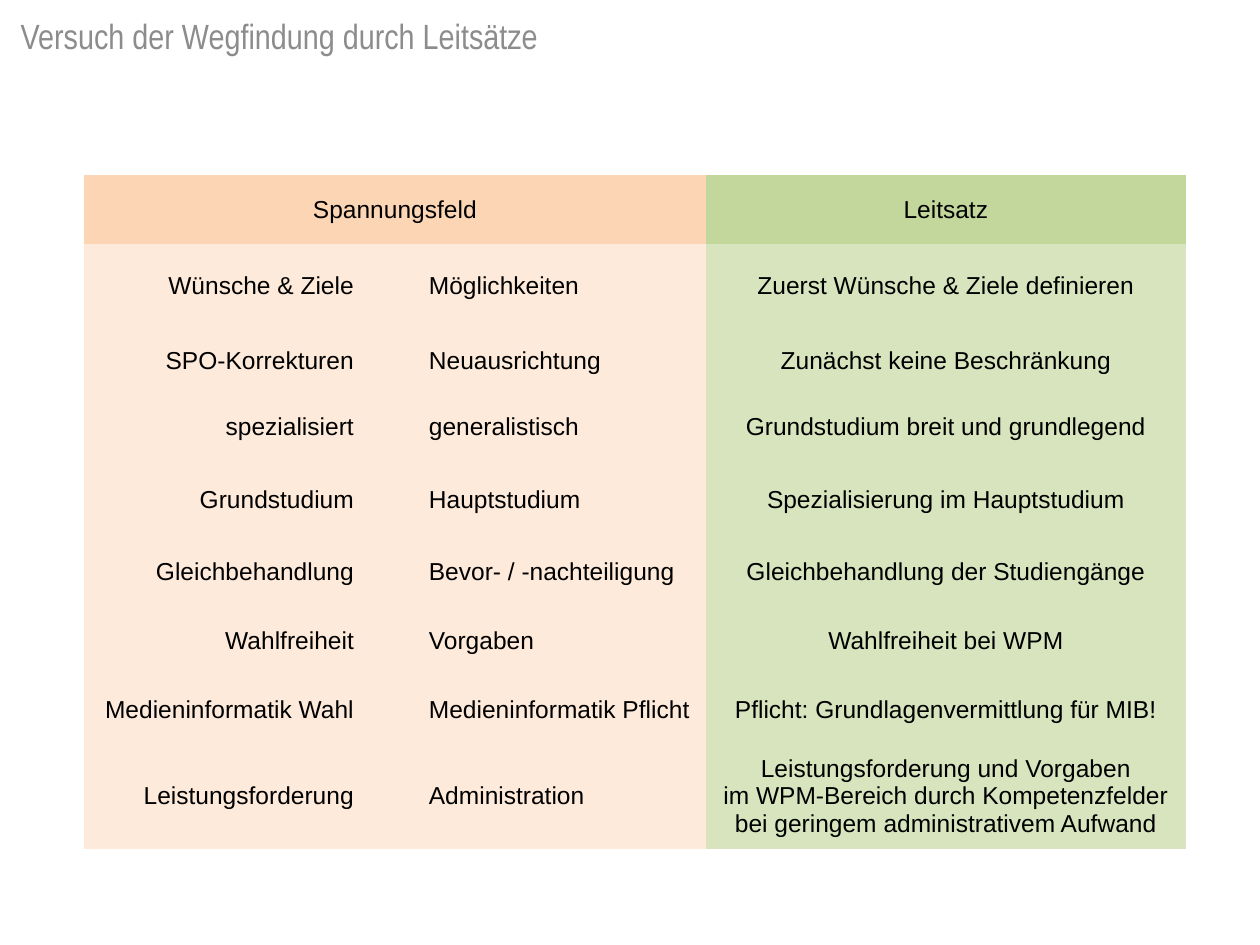
import dataclasses

import pptx
import pptx.dml.color
import pptx.enum.text
import pptx.oxml.ns
import pptx.util


@dataclasses.dataclass(frozen=True)
class Theme:
    head: str = "Arial Narrow"
    body: str = "Arial"
    head_size: int = 20
    body_size: int = 14
    grey: str = "8C8C8C"
    black: str = "000000"
    peach: str = "FCD5B5"
    cream: str = "FDEADA"
    green: str = "C3D69B"
    mint: str = "D7E4BD"


theme = Theme()
rgb = pptx.dml.color.RGBColor.from_string
align = pptx.enum.text.PP_ALIGN
middle = pptx.enum.text.MSO_ANCHOR.MIDDLE
NO_GRID = "{2D5ABB26-0587-4C30-8999-92F81FD0307C}"


def px(count):
    return pptx.util.Emu(round(count * 914400 / 126))


def write(para, text, font, size, color, side):
    """Add text run by run, with a line break at each newline."""
    para.alignment = side
    for num, line in enumerate(text.split("\n")):
        if num:
            para.add_line_break()
        run = para.add_run()
        run.text = line
        run.font.name = font
        run.font.size = pptx.util.Pt(size)
        run.font.color.rgb = rgb(color)


deck = pptx.Presentation()
deck.slide_width, deck.slide_height = px(1260), px(945)
slide = deck.slides.add_slide(deck.slide_layouts[5])

# Title
title = slide.shapes.title
title.left, title.top, title.width, title.height = px(8), px(5), px(1237), px(60)
frame = title.text_frame
frame.word_wrap = True
frame.vertical_anchor = middle
write(frame.paragraphs[0], "Versuch der Wegfindung durch Leitsätze",
      theme.head, theme.head_size, theme.grey, align.LEFT)

# Table: two poles of tension, a gap between them, and the guiding rule
rows = [
    ("Spannungsfeld", "", "", "Leitsatz"),
    ("Wünsche & Ziele", "", "Möglichkeiten", "Zuerst Wünsche & Ziele definieren"),
    ("SPO-Korrekturen", "", "Neuausrichtung", "Zunächst keine Beschränkung"),
    ("spezialisiert", "", "generalistisch", "Grundstudium breit und grundlegend"),
    ("Grundstudium", "", "Hauptstudium", "Spezialisierung im Hauptstudium"),
    ("Gleichbehandlung", "", "Bevor- / -nachteiligung", "Gleichbehandlung der Studiengänge"),
    ("Wahlfreiheit", "", "Vorgaben", "Wahlfreiheit bei WPM"),
    ("Medieninformatik Wahl", "", "Medieninformatik Pflicht",
     "Pflicht: Grundlagenvermittlung für MIB!"),
    ("Leistungsforderung", "", "Administration",
     "Leistungsforderung und Vorgaben\n"
     "im WPM-Bereich durch Kompetenzfelder bei geringem administrativem Aufwand"),
]
widths = [276, 63, 283, 480]
heights = [69, 85, 64, 69, 76, 69, 69, 68, 105]
sides = [align.RIGHT, align.LEFT, align.LEFT, align.CENTER]

shape = slide.shapes.add_table(len(rows), len(widths), px(84), px(175),
                               px(sum(widths)), px(sum(heights)))
shape.element.find(".//" + pptx.oxml.ns.qn("a:tableStyleId")).text = NO_GRID
table = shape.table
table.first_row = table.horz_banding = False
for col, width in zip(table.columns, widths):
    col.width = px(width)
for row, height in zip(table.rows, heights):
    row.height = px(height)
table.cell(0, 0).merge(table.cell(0, 2))

for r, texts in enumerate(rows):
    fills = (theme.cream, theme.mint) if r else (theme.peach, theme.green)
    for c, text in enumerate(texts):
        cell = table.cell(r, c)
        cell.fill.solid()
        cell.fill.fore_color.rgb = rgb(fills[c == 3])
        cell.vertical_anchor = middle
        cell.margin_left = cell.margin_right = px(6)
        cell.margin_top = cell.margin_bottom = px(3)
        if text:
            write(cell.text_frame.paragraphs[0], text, theme.body, theme.body_size,
                  theme.black, sides[c] if r else align.CENTER)

deck.save("out.pptx")
